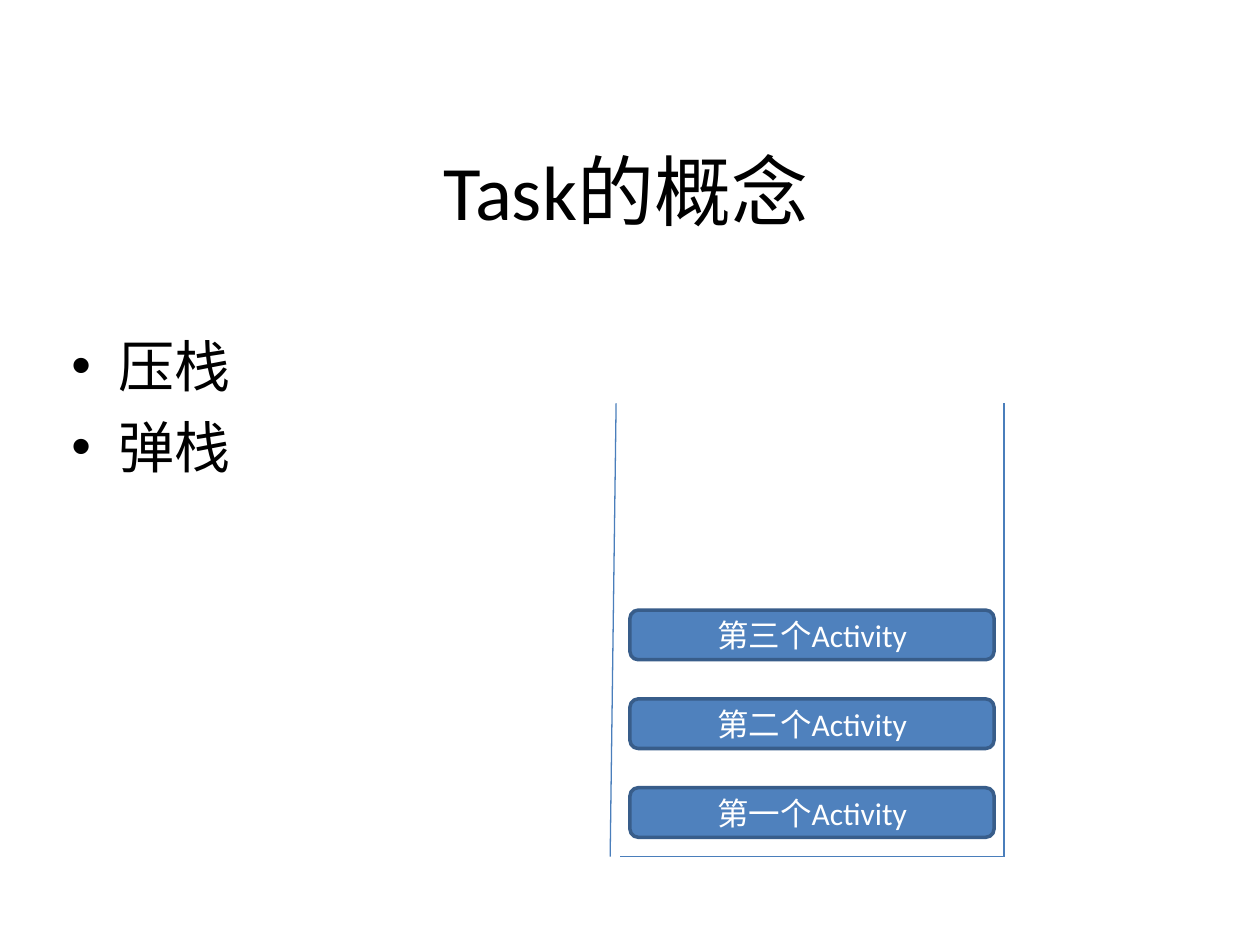
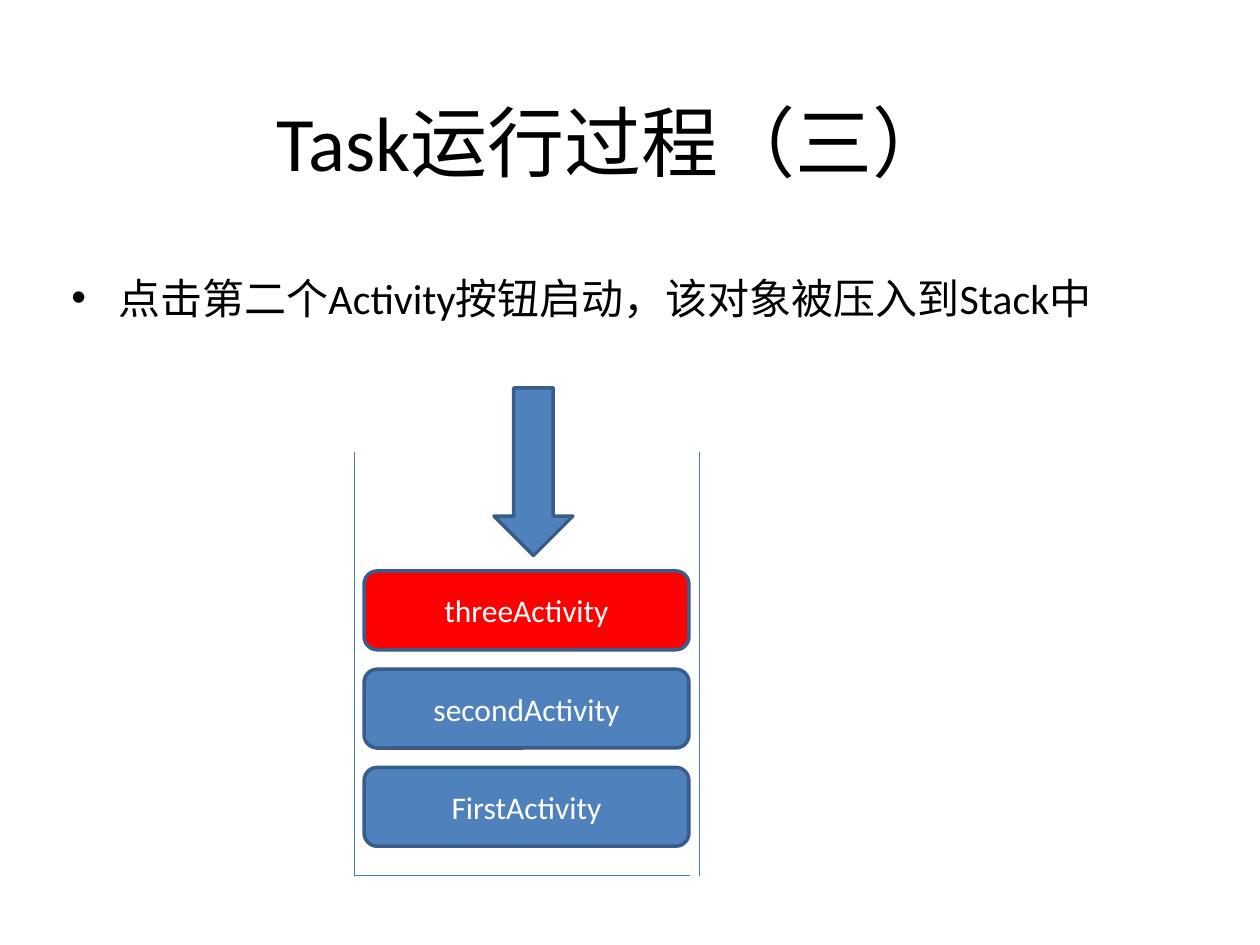
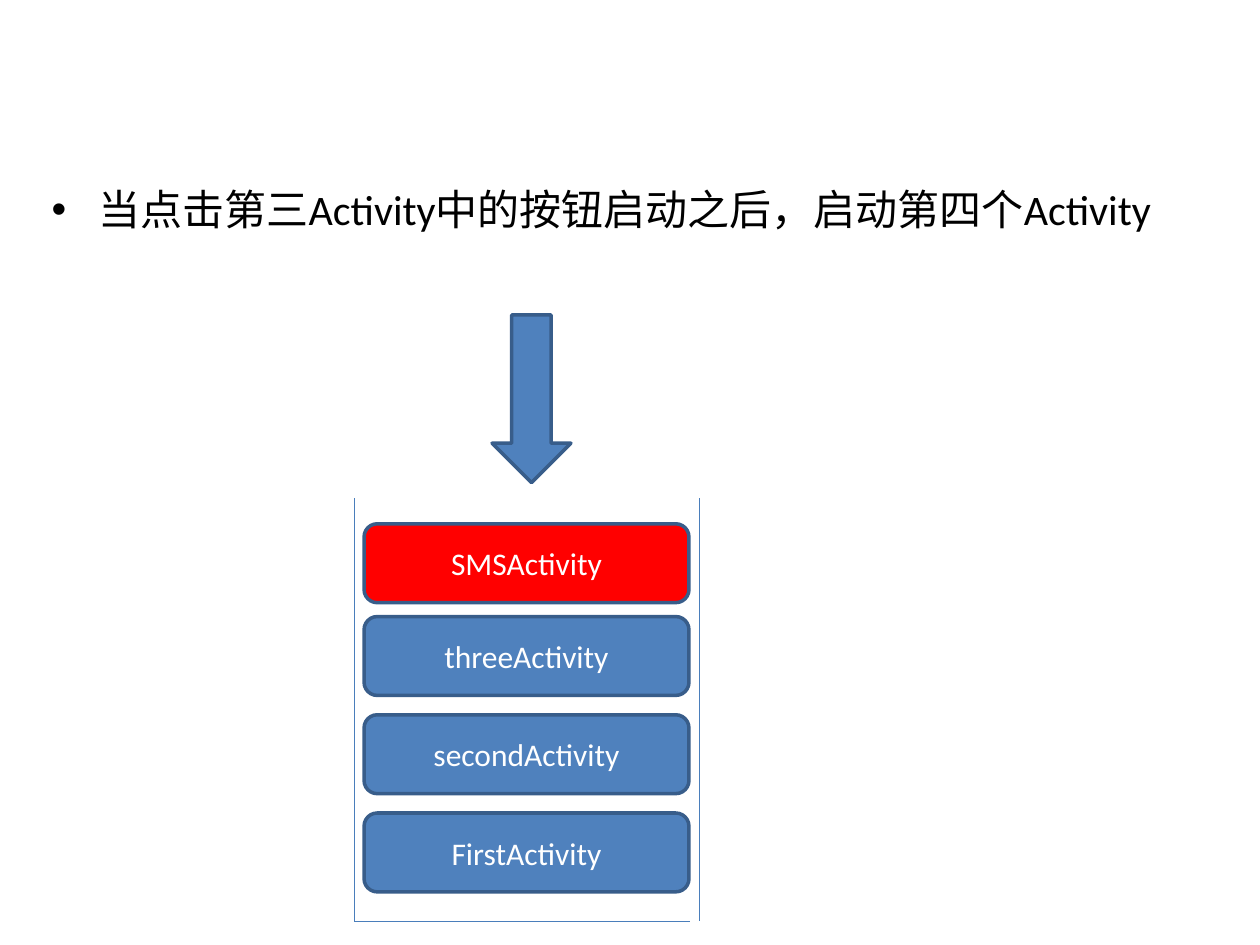
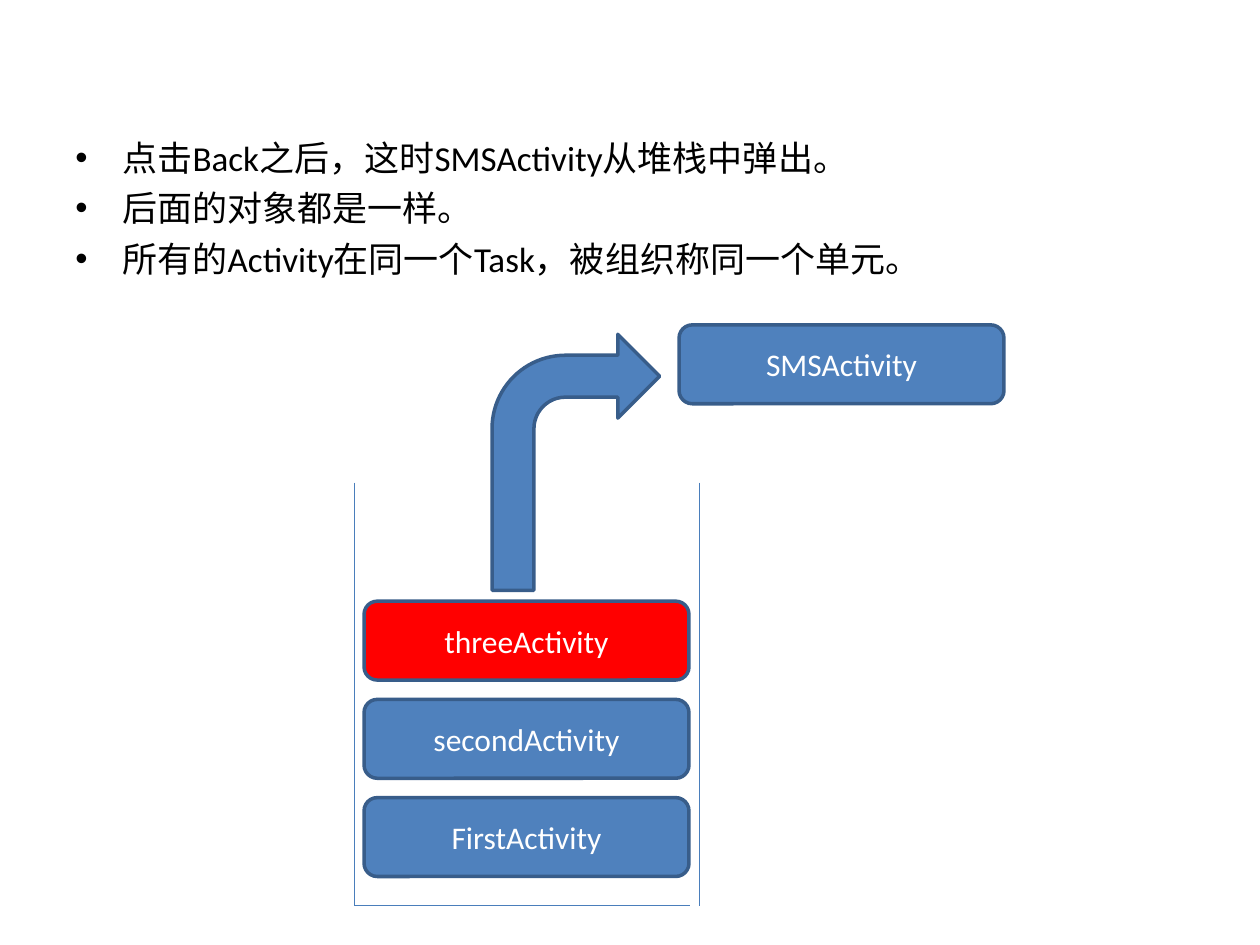
import pptx
import pptx.util
import pptx.dml.color
import pptx.enum.shapes
import pptx.enum.text
import pptx.oxml
import pptx.oxml.ns
import lxml.etree

Cm = pptx.util.Cm
Pt = pptx.util.Pt
Kind = pptx.enum.shapes.MSO_SHAPE
Align = pptx.enum.text.PP_ALIGN
Anchor = pptx.enum.text.MSO_ANCHOR

FONT = "Calibri"
HUES = {
    "text": "000000",
    "light": "FFFFFF",
    "brick": "4F81BD",
    "top": "FF0000",
    "edge": "385D8A",
    "wall": "4A7EBB",
}
BRICK = (6.55, 1.59)
CALLS = ["FirstActivity", "secondActivity", "threeActivity"]


def hue(name):
    return pptx.dml.color.RGBColor.from_string(HUES[name])


def dot(para, indent=0.95):
    """Give the paragraph a hanging bullet."""
    props = para._p.get_or_add_pPr()
    props.set("marL", str(Cm(indent)))
    props.set("indent", str(-Cm(indent)))
    tag = pptx.oxml.ns.qn
    tint = lxml.etree.SubElement(props, tag("a:buClr"))
    lxml.etree.SubElement(tint, tag("a:srgbClr"), val=HUES["text"])
    lxml.etree.SubElement(props, tag("a:buFont"), typeface="Arial")
    lxml.etree.SubElement(props, tag("a:buChar"), char="•")


def write(shape, *lines, size=18, color="text", align=Align.LEFT,
          anchor=Anchor.TOP, bullet=False, gap=0):
    frame = shape.text_frame
    frame.word_wrap = True
    frame.vertical_anchor = anchor
    for i, line in enumerate(lines):
        para = frame.add_paragraph() if i else frame.paragraphs[0]
        if bullet:
            dot(para)
        para.alignment = align
        para.space_before = Pt(gap if i else 0)
        run = para.add_run()
        run.text = line
        run.font.name = FONT
        run.font.size = Pt(size)
        run.font.color.rgb = hue(color)


def box(slide, left, top, width, height):
    return slide.shapes.add_textbox(Cm(left), Cm(top), Cm(width), Cm(height))


def title(slide, text, left, top, width, height):
    write(box(slide, left, top, width, height), text,
          size=44, align=Align.CENTER)


def points(slide, lines, left, top, height, size):
    write(box(slide, left, top, 22.86, height), *lines,
          size=size, bullet=True, gap=size / 4)


def block(slide, kind, left, top, width, height, fill="brick"):
    shape = slide.shapes.add_shape(
        kind, Cm(left), Cm(top), Cm(width), Cm(height))
    shape.shadow.inherit = False
    shape.fill.solid()
    shape.fill.fore_color.rgb = hue(fill)
    shape.line.color.rgb = hue("edge")
    shape.line.width = Pt(2)
    return shape


def brick(slide, text, left, top, size=BRICK, fill="brick"):
    shape = block(slide, Kind.ROUNDED_RECTANGLE, left, top, *size, fill=fill)
    write(shape, text, color="light", align=Align.CENTER,
          anchor=Anchor.MIDDLE)


def wall(slide, *ends):
    line = slide.shapes.add_connector(
        pptx.enum.shapes.MSO_CONNECTOR.STRAIGHT, *map(Cm, ends))
    line.line.color.rgb = hue("wall")
    line.line.width = Pt(0.75)
    lxml.etree.SubElement(line._element.spPr,
                          pptx.oxml.ns.qn("a:effectLst"))


def stack(slide, floor, fills):
    """Draw the open stack, its bricks piled up from the floor."""
    left, right, rim = 7.14, 14.1, floor - 8.53
    wall(slide, left, rim, left, floor)
    wall(slide, left, floor, right - 0.2, floor)
    wall(slide, right, rim, right, floor)
    for i, (text, fill) in enumerate(zip(CALLS, fills)):
        brick(slide, text, left + 0.2, floor - 2.18 - 1.98 * i, fill=fill)


def concept(slide):
    title(slide, "Task的概念", 1.19, 2.77, 22.86, 3.18)
    points(slide, ["压栈", "弹栈"], 1.19, 6.55, 14.05, 32)
    rim, floor, right = 8.13, 17.27, 20.24
    wall(slide, 12.42, rim, 12.3, floor)
    wall(slide, 12.5, floor, right, floor)
    wall(slide, right, rim, right, floor)
    for i, rank in enumerate("一二三"):
        brick(slide, f"第{rank}个Activity", 12.7, 15.88 - 1.79 * i,
              size=(7.34, 1))


def push(slide):
    title(slide, "Task运行过程（三）", 1, 1.78, 22.73, 3.35)
    points(slide, ["点击第二个Activity按钮启动，该对象被压入到Stack中"],
           1.19, 5.36, 14.43, 24)
    stack(slide, 17.65, ["brick", "brick", "top"])
    block(slide, Kind.DOWN_ARROW, 9.96, 7.82, 1.59, 3.38)


def fourth(slide):
    points(slide, ["当点击第三Activity中的按钮启动之后，启动第四个Activity"],
           0.79, 3.58, 17.02, 24)
    stack(slide, 18.57, ["brick"] * 3)
    block(slide, Kind.DOWN_ARROW, 9.92, 6.35, 1.59, 3.38)
    brick(slide, "SMSActivity", 7.34, 10.56, fill="top")


def back(slide):
    points(slide, ["点击Back之后，这时SMSActivity从堆栈中弹出。",
                   "后面的对象都是一样。",
                   "所有的Activity在同一个Task，被组织称同一个单元。"],
           1.27, 2.62, 17.02, 20)
    stack(slide, 18.26, ["brick", "brick", "top"])
    brick(slide, "SMSActivity", 13.69, 6.55)
    block(slide, Kind.BENT_ARROW, 9.92, 6.74, 3.38, 5.16)


def main():
    deck = pptx.Presentation()
    deck.slide_width, deck.slide_height = Cm(25.4), Cm(19.05)
    for draw in (concept, push, fourth, back):
        draw(deck.slides.add_slide(deck.slide_layouts[6]))
    deck.save("out.pptx")


if __name__ == "__main__":
    main()
